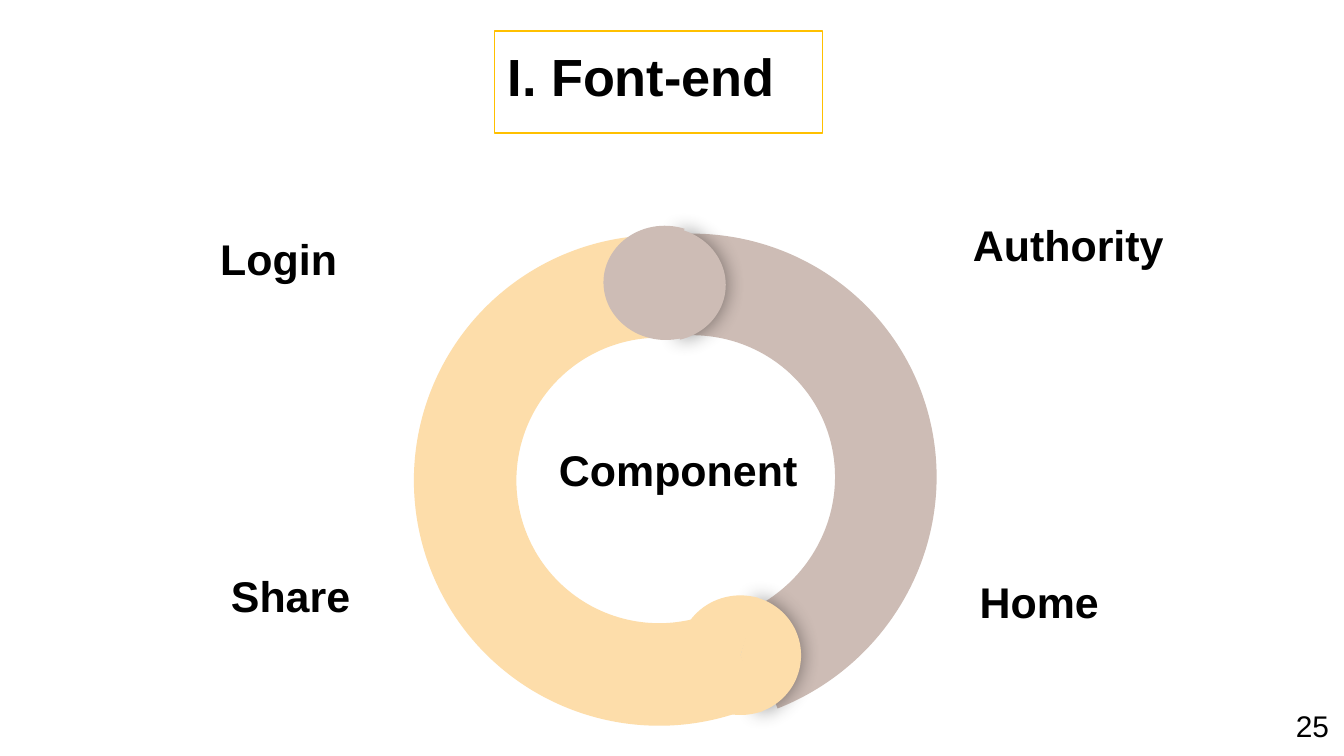
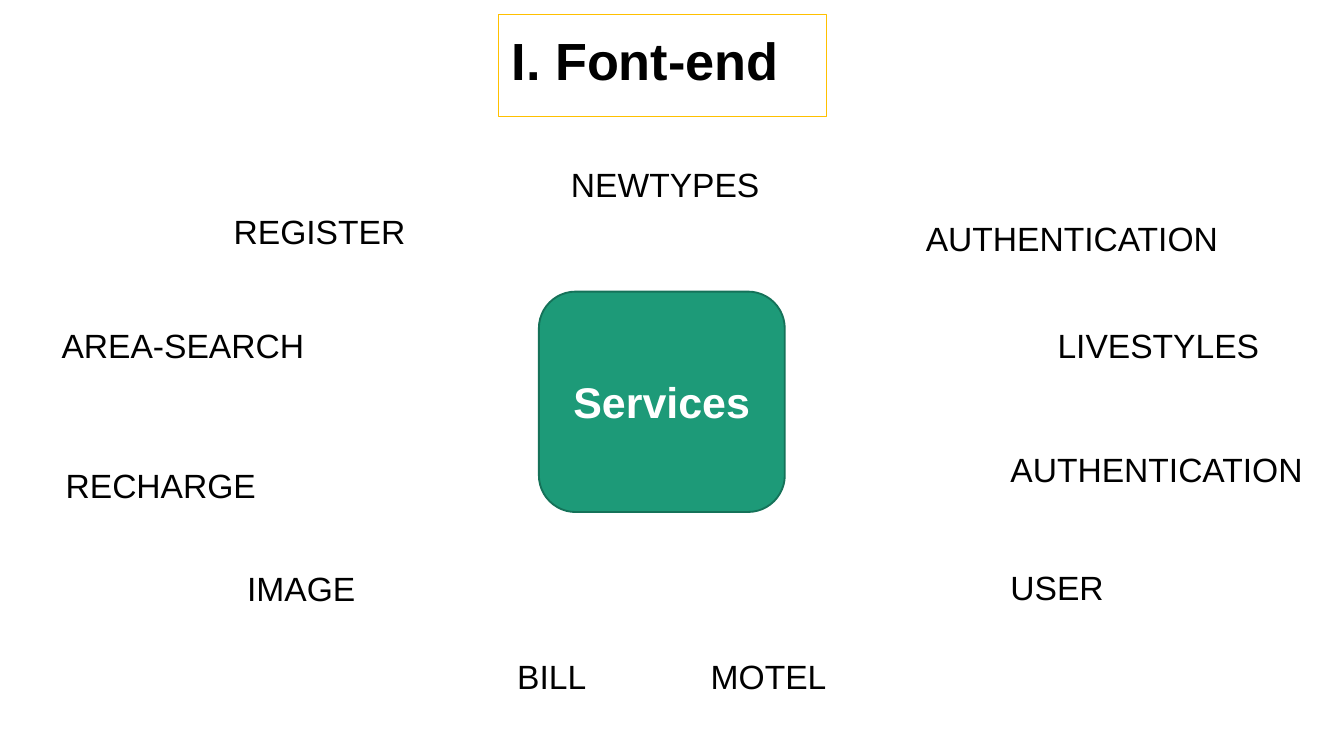
from lxml import etree
from pptx import Presentation, util as u
from pptx.dml.color import RGBColor
from pptx.enum import shapes, text
from pptx.oxml import ns

C = {"ink": "000000", "white": "FFFFFF", "gold": "FFC000", "sand": "FDDDAA",
     "taupe": "CDBCB5", "green": "1D9A78", "pine": "157259"}
FONT = "Arial"
SHAPE = shapes.MSO_SHAPE

prs = Presentation()
prs.slide_width, prs.slide_height = u.Inches(10), u.Inches(5.625)
COL = prs.slide_width / 100   # grid of 100 columns
ROW = prs.slide_height / 56.25  # square cells


def add_shape(parent, kind, box, fill=None, line=None, width=1, rot=0, angles=()):
    """Add a shape, or a text box if kind is None; box is in columns and rows."""
    x, y, w, h = box
    place = [int(v) for v in (x * COL, y * ROW, w * COL, h * ROW)]
    if kind is None:
        return parent.add_textbox(*place)
    sp = parent.add_shape(kind, *place)
    sp.shadow.inherit = False
    sp.rotation = rot
    for i, degrees in enumerate(angles):
        sp.adjustments[i] = degrees * 0.6
    for paint, colour in ((sp.fill, fill), (sp.line.fill, line)):
        if colour:
            paint.solid()
            paint.fore_color.rgb = RGBColor.from_string(C[colour])
        else:
            paint.background()
    if line:
        sp.line.width = u.Pt(width)
    return sp


def write(sp, words, size, bold=False, colour="ink", align=text.PP_ALIGN.LEFT,
          anchor=text.MSO_ANCHOR.TOP, wrap=True, grow=False):
    tf = sp.text_frame
    tf.word_wrap = wrap
    tf.vertical_anchor = anchor
    if grow:
        tf.auto_size = text.MSO_AUTO_SIZE.SHAPE_TO_FIT_TEXT
    p = tf.paragraphs[0]
    p.text, p.alignment = words, align
    p.font.name, p.font.size, p.font.bold = FONT, u.Pt(size), bold
    p.font.color.rgb = RGBColor.from_string(C[colour])
    return tf


# Both slides: framed title and loose labels (words, column, row, width)
pages = [
    {"title": (36.8, 2.3), "size": 23, "bold": True, "height": 4.9, "labels": [
        ("Authority", 71.4, 15.8, 16.3), ("Home", 71.9, 42.3, 11),
        ("Login", 15.4, 16.8, 10.8), ("Share", 16.2, 41.9, 11),
        ("Component", 40.6, 32.5, 19.9)]},
    {"title": (37.1, 1.1), "size": 18, "bold": False, "height": 4, "labels": [
        ("USER", 74.2, 41.7, 9), ("AUTHENTICATION", 74.2, 32.9, 24),
        ("AUTHENTICATION", 67.9, 15.7, 24), ("AREA-SEARCH", 3.6, 23.7, 20.3),
        ("RECHARGE", 3.9, 34.1, 16.3), ("IMAGE", 17.4, 41.8, 10.2),
        ("BILL", 37.5, 48.3, 7.2), ("MOTEL", 51.9, 48.3, 10.7),
        ("REGISTER", 16.4, 15.2, 14.9), ("NEWTYPES", 41.5, 11.7, 16.2),
        ("LIVESTYLES", 77.7, 23.7, 17.2)]},
]
slides = []
for page in pages:
    s = prs.slides.add_slide(prs.slide_layouts[6])
    slides.append(s)
    sp = add_shape(s.shapes, SHAPE.RECTANGLE, (*page["title"], 24.4, 7.6),
                   line="gold", width=0.75)
    tf = write(sp, "I. Font-end", 28, bold=True)
    tf.margin_left = tf.margin_right = tf.margin_top = tf.margin_bottom = u.Inches(0.1)
    for words, x, y, w in page["labels"]:
        sp = add_shape(s.shapes, None, (x, y, w, page["height"]))
        write(sp, words, page["size"], page["bold"], wrap=False, grow=True)

# Slide 1: page number
ring, services = slides
sp = add_shape(ring.shapes, None, (95.3, 52.2, 4.7, 3.7))
write(sp, "25", 16, align=text.PP_ALIGN.CENTER, grow=True)

# Slide 1: ring of two arcs (colour, box, rotation, start, end, thickness)
arcs = [("taupe", (33, 17.2, 36.5, 37), 60, 210.38, 8.79, 0.207),
        ("sand", (30.8, 17.5, 36.5, 36.5), 300, 130.67, 328.39, 0.209)]
for colour, box, rot, start, end, thickness in arcs:
    sp = add_shape(ring.shapes, SHAPE.BLOCK_ARC, box, colour, rot=rot, angles=(start, end))
    sp.adjustments[2] = thickness

# Slide 1: round arc ends, each a shadowed right half under a plain left half
caps = [("sand", (50.6, 44.3, 9, 8.9), (50.5, 44.3, 9.2, 8.9), 0.9, 1.5),
        ("taupe", (44.8, 16.9, 9.2, 8.5), (44.9, 16.8, 9.2, 8.5), 3.2, 0.6)]
for colour, right, left, tilt, extra in caps:
    group = ring.shapes.add_group_shape()
    sp = add_shape(group.shapes, SHAPE.PIE, right, colour, rot=180 + tilt + extra,
                   angles=(103.17, 249.94))
    effects = sp._element.spPr.find(ns.qn("a:effectLst"))
    shadow = etree.SubElement(effects, ns.qn("a:outerShdw"),
                              blurRad=str(u.Pt(11.2)), dist="0", dir="0")
    black = etree.SubElement(shadow, ns.qn("a:srgbClr"), val=C["ink"])
    etree.SubElement(black, ns.qn("a:alpha"), val="43000")
    add_shape(group.shapes, SHAPE.PIE, left, colour, rot=tilt, angles=(67.14, 286.4))

# Slide 1: the centre label lies inside the ring, so nothing covers it
# Slide 2: hub
sp = add_shape(services.shapes, SHAPE.ROUNDED_RECTANGLE, (40.1, 21.7, 18.3, 16.4),
               "green", line="pine")
write(sp, "Services", 23, True, "white", text.PP_ALIGN.CENTER, text.MSO_ANCHOR.MIDDLE)

prs.save("out.pptx")
